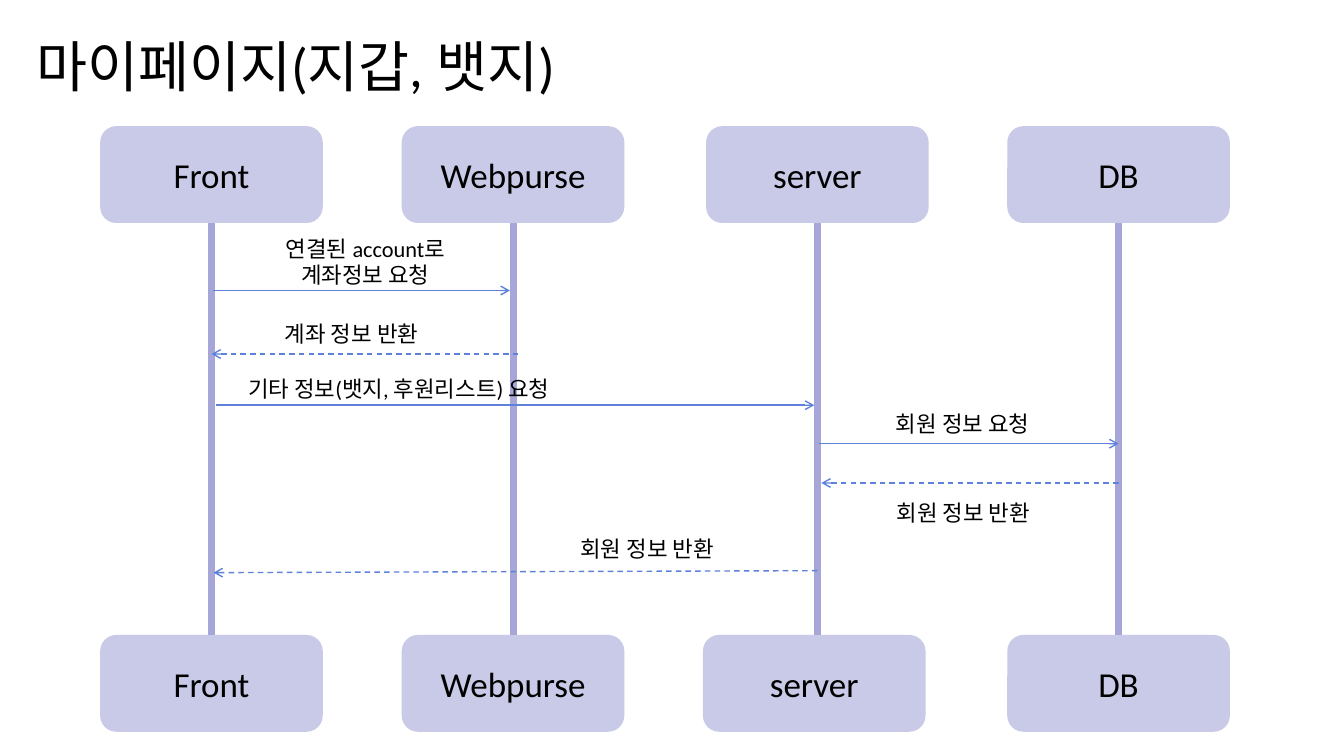
"""Sequence diagram of the my-page flow between front, wallet, server and database."""
from lxml.etree import SubElement
from pptx import Presentation
from pptx.dml.color import RGBColor
from pptx.enum.dml import MSO_LINE
from pptx.enum.shapes import MSO_CONNECTOR, MSO_SHAPE
from pptx.enum.text import MSO_ANCHOR, PP_ALIGN
from pptx.oxml.ns import qn
from pptx.util import Cm, Pt

TITLE = "마이페이지(지갑, 뱃지)"
ACTORS = [("Front", 5.33, 0), ("Webpurse", 12.93, 0), ("server", 20.6, -0.08), ("DB", 28.19, 0)]
REQUESTS = [
    ((5.36, 7.32), (12.85, 7.32)),
    ((5.44, 10.21), (20.52, 10.21)),
    ((20.65, 11.18), (28.19, 11.18)),
]
REPLIES = [
    ((13.06, 8.92), (5.33, 8.92)),
    ((28.19, 12.17), (20.7, 12.17)),
    ((20.6, 14.38), (5.38, 14.43)),
]
LABELS = [
    ("계좌 정보 반환", 6.93, 7.95),
    ("회원 정보 요청", 22.33, 10.21),
    ("회원 정보 반환", 22.35, 12.45),
    ("회원 정보 반환", 14.38, 13.36),
]
LAVENDER, BLUE, BLACK = "A6A7D8", "5E81D9", "000000"
BOX_WIDTH, BOX_HEIGHT = 5.61, 2.44
TOP_ROW, BOTTOM_ROW = 3.18, 16.0
LABEL_WIDTH, LABEL_HEIGHT = 4.19, 0.94


def color(value):
    return RGBColor.from_string(value)


def write(shape, text, size=16, align=PP_ALIGN.LEFT, anchor=MSO_ANCHOR.TOP):
    frame = shape.text_frame
    frame.word_wrap = True
    frame.vertical_anchor = anchor
    paragraph = frame.paragraphs[0]
    paragraph.alignment = align
    span = paragraph.add_run()
    span.text = text
    span.font.name = "Calibri"
    span.font.size = Pt(size)
    span.font.color.rgb = color(BLACK)


def add_text(text, left, top, width=LABEL_WIDTH, height=LABEL_HEIGHT, **style):
    write(page.shapes.add_textbox(Cm(left), Cm(top), Cm(width), Cm(height)), text, **style)


def add_actor(name, left, top):
    box = page.shapes.add_shape(
        MSO_SHAPE.ROUNDED_RECTANGLE, Cm(left), Cm(top), Cm(BOX_WIDTH), Cm(BOX_HEIGHT))
    box.shadow.inherit = False
    box.fill.solid()
    box.fill.fore_color.rgb = color(LAVENDER)
    tint = box.fill._xPr.find(qn("a:solidFill"))[0]
    SubElement(tint, qn("a:alpha"), val="60000")
    box.line.fill.background()
    write(box, name, size=25, align=PP_ALIGN.CENTER, anchor=MSO_ANCHOR.MIDDLE)


def add_line(start, end, stroke=BLUE, width=1, dashed=False, arrow=True):
    points = [Cm(value) for value in (*start, *end)]
    connector = page.shapes.add_connector(MSO_CONNECTOR.STRAIGHT, *points)
    connector.line.color.rgb = color(stroke)
    connector.line.width = Pt(width)
    if dashed:
        connector.line.dash_style = MSO_LINE.DASH
    if arrow:
        SubElement(connector.line._get_or_add_ln(), qn("a:tailEnd"), type="arrow")
    SubElement(connector._element.spPr, qn("a:effectLst"))


deck = Presentation()
deck.slide_width, deck.slide_height = Cm(33.87), Cm(19.05)
page = deck.slides.add_slide(deck.slide_layouts[6])

add_text(TITLE, 0.66, 0.64, 27.71, 2.03, size=39.6, anchor=MSO_ANCHOR.MIDDLE)

for name, center, bottom_shift in ACTORS:
    left = center - BOX_WIDTH / 2
    add_actor(name, left, TOP_ROW)
    add_actor(name, left + bottom_shift, BOTTOM_ROW)
    add_line((center, TOP_ROW + BOX_HEIGHT), (center, BOTTOM_ROW),
             stroke=LAVENDER, width=5, arrow=False)

for start, end in REQUESTS:
    add_line(start, end)
for start, end in REPLIES:
    add_line(start, end, dashed=True)

add_text("연결된 account로 계좌정보 요청", 6.2, 5.89, 6.02, 1.4,
         align=PP_ALIGN.CENTER, anchor=MSO_ANCHOR.MIDDLE)
add_text("기타 정보(뱃지, 후원리스트) 요청", 5.31, 9.32, 8.79, align=PP_ALIGN.RIGHT)
for text, left, top in LABELS:
    add_text(text, left, top)

deck.save("out.pptx")
